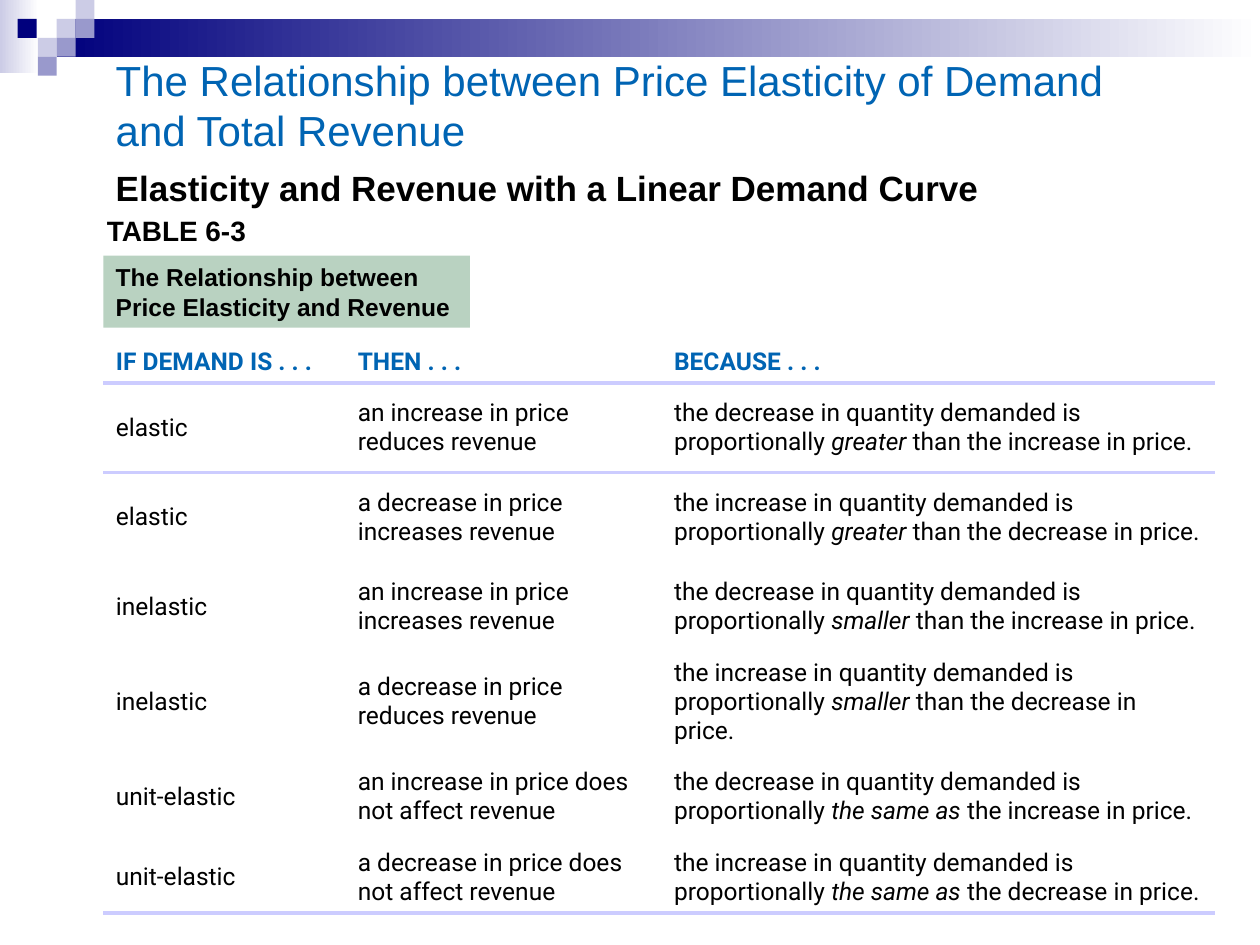
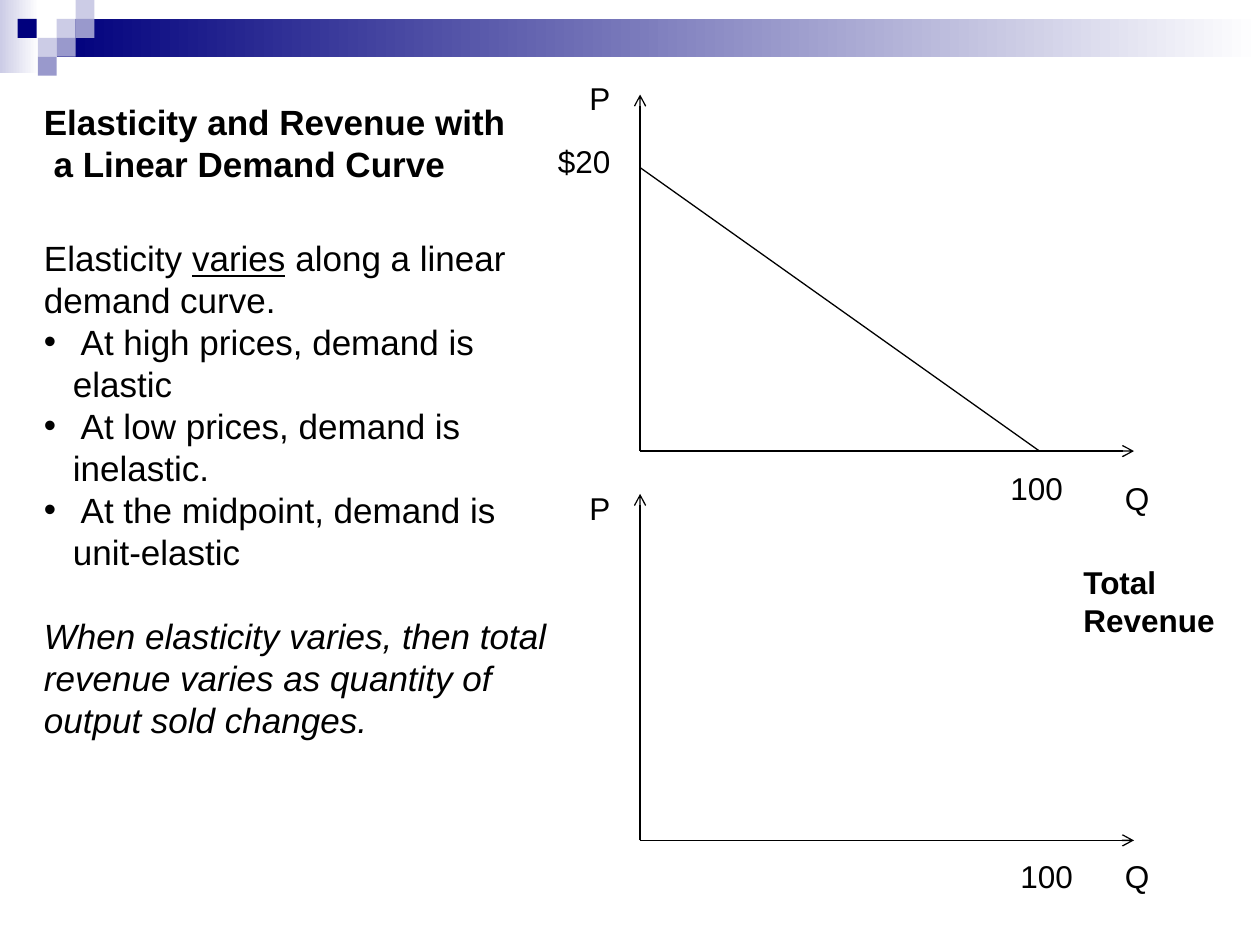
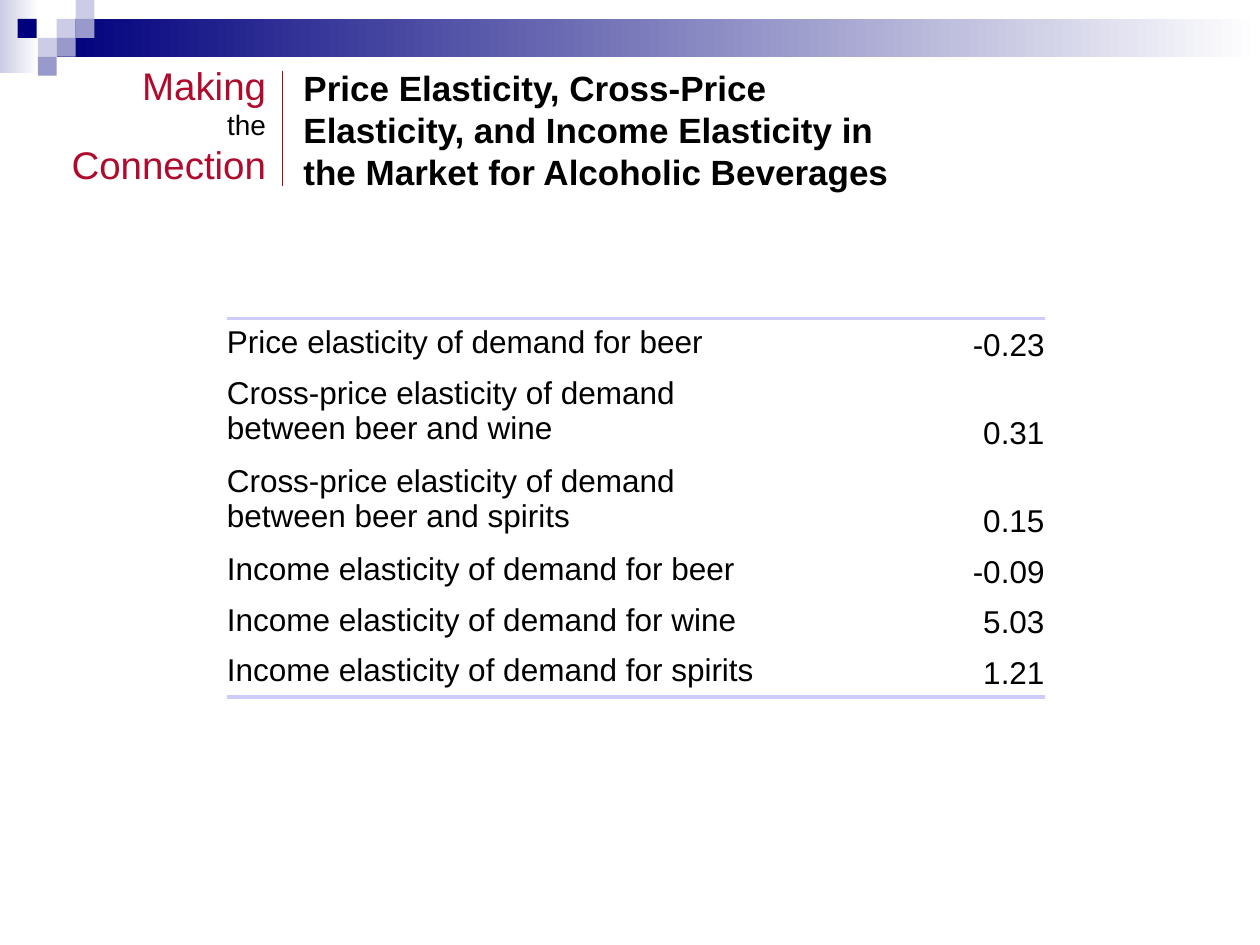
from pptx import Presentation
from pptx.dml.color import RGBColor
from pptx.enum.shapes import MSO_CONNECTOR, MSO_SHAPE
from pptx.enum.text import MSO_ANCHOR, PP_ALIGN
from pptx.oxml import parse_xml
from pptx.oxml.ns import nsdecls, qn
from pptx.util import Inches, Pt

RECTANGLE = MSO_SHAPE.RECTANGLE
STRAIGHT = MSO_CONNECTOR.STRAIGHT
TOP, MIDDLE, BOTTOM = MSO_ANCHOR.TOP, MSO_ANCHOR.MIDDLE, MSO_ANCHOR.BOTTOM
LEFT, RIGHT = PP_ALIGN.LEFT, PP_ALIGN.RIGHT

BLACK = RGBColor(0, 0, 0)
WHITE = RGBColor(0xFF, 0xFF, 0xFF)
NAVY = RGBColor(0x00, 0x00, 0x7D)
LAVENDER = RGBColor(0x99, 0x99, 0xCC)
PALE = RGBColor(0xCC, 0xCC, 0xE6)
RULE = RGBColor(0xCC, 0xCC, 0xFF)
BLUE = RGBColor(0x00, 0x64, 0xB3)
GREEN = RGBColor(0xB9, 0xD2, 0xC1)
CRIMSON = RGBColor(0xB0, 0x0B, 0x2D)
RED = RGBColor(0xAC, 0x0C, 0x11)
NO_TABLE_STYLE = "{2D5ABB26-0587-4C30-8999-92F81FD0307C}"

GRADIENT_BANDS = [
    ((0, 0, 0.31, 0.58), PALE),
    ((0.45, 0.15, 9.55, 0.3), NAVY),
]
TILE = 0.15
TILES = [
    (0.45, 0.15, PALE), (0.6, 0, PALE), (0.6, 0.15, LAVENDER), (0.3, 0.3, PALE),
    (0.14, 0.15, NAVY), (0.45, 0.3, LAVENDER), (0.3, 0.45, LAVENDER),
]

REVENUE_HEADINGS = ["IF DEMAND IS . . .", "THEN . . .", "BECAUSE . . ."]
REVENUE_ROWS = [
    ["elastic", "an increase in price reduces revenue",
     "the decrease in quantity demanded is proportionally *greater* than the increase in price."],
    ["elastic", "a decrease in price increases revenue",
     "the increase in quantity demanded is proportionally *greater* than the decrease in price."],
    ["inelastic", "an increase in price increases revenue",
     "the decrease in quantity demanded is proportionally *smaller* than the increase in price."],
    ["inelastic", "a decrease in price reduces revenue",
     "the increase in quantity demanded is proportionally *smaller *than the decrease in price."],
    ["unit-elastic", "an increase in price does not affect revenue",
     "the decrease in quantity demanded is proportionally *the same as* the increase in price."],
    ["unit-elastic", "a decrease in price does not affect revenue",
     "the increase in quantity demanded is proportionally *the same as* the decrease in price."],
]
REVENUE_COLUMNS = [1.92, 2.51, 4.39]
REVENUE_HEIGHTS = [0.42, 0.71, 0.71, 0.71, 0.7, 0.71, 0.2]

AXIS_X, AXIS_END = 5.08, 9
DIAGRAMS = [(0.75, 3.58), (3.92, 6.67)]
DEMAND_CURVE = ((AXIS_X, 1.33), (8.25, 3.58))
AXIS_LABELS = [
    ("P", 4.58, 0.58, 0.37), ("P", 4.58, 3.83, 0.37),
    ("Q", 8.83, 3.75, 0.37), ("Q", 8.83, 6.75, 0.37),
    ("$20", 4.33, 1.08, 0.67), ("100", 7.92, 3.67, 0.67), ("100", 8, 6.75, 0.67),
]
VARIES = "Elasticity *varies* along a linear demand curve."
PRICE_POINTS = [
    " At high prices, demand is elastic",
    " At low prices, demand is inelastic.",
    " At the midpoint, demand is unit-elastic",
]
CONCLUSION = "*When elasticity varies, then total revenue varies as quantity of output sold changes.*"

CONNECTION = [("Making", 22, CRIMSON), ("the", 16, BLACK), ("Connection", 22, CRIMSON)]
BEVERAGE_ROWS = [
    ("Price elasticity of demand for beer", "-0.23"),
    ("Cross-price elasticity of demand between beer and wine", "0.31"),
    ("Cross-price elasticity of demand between beer and spirits", "0.15"),
    ("Income elasticity of demand for beer", "-0.09"),
    ("Income elasticity of demand for wine", "5.03"),
    ("Income elasticity of demand for spirits", "1.21"),
]
BEVERAGE_COLUMNS = [4.19, 2.3]
BEVERAGE_HEIGHTS = [0.38, 0.67, 0.67, 0.38, 0.38, 0.38]


def inches(*lengths):
    return [Inches(length) for length in lengths]


def write(paragraph, text, size, color=BLACK, bold=False, font="Arial",
          emphasis="italic", align=LEFT, before=0):
    paragraph.alignment = align
    paragraph.space_before = Pt(before)
    for number, part in enumerate(text.split("*")):
        if not part:
            continue
        if "\v" in part:
            paragraph.text = part
        else:
            paragraph.add_run().text = part
        if number % 2:
            setattr(paragraph.runs[-1].font, emphasis, True)
    for run in paragraph.runs:
        run.font.name = font
        run.font.size = Pt(size)
        run.font.bold = bold
        run.font.color.rgb = color


def add_text(slide, box, text, size, anchor=TOP, **style):
    frame = slide.shapes.add_textbox(*inches(*box)).text_frame
    frame.word_wrap = True
    frame.vertical_anchor = anchor
    write(frame.paragraphs[0], text, size, **style)
    return frame


def add_rectangle(slide, box, color):
    rectangle = slide.shapes.add_shape(RECTANGLE, *inches(*box))
    rectangle.shadow.inherit = False
    rectangle.line.fill.background()
    rectangle.fill.solid()
    rectangle.fill.fore_color.rgb = color
    return rectangle


def add_line(slide, start, end, color=BLACK, arrow=False):
    line = slide.shapes.add_connector(STRAIGHT, *inches(*start, *end))
    line.line.color.rgb = color
    line.line.width = Pt(0.75)
    if arrow:
        line.line._get_or_add_ln().append(
            parse_xml(f'<a:tailEnd {nsdecls("a")} type="arrow"/>'))
    line._element.spPr.append(parse_xml(f'<a:effectLst {nsdecls("a")}/>'))


def add_grid(slide, left, top, columns, heights):
    box = inches(left, top, sum(columns), sum(heights))
    table = slide.shapes.add_table(len(heights), len(columns), *box).table
    table.first_row = table.horz_banding = False
    table._tbl.tblPr.find(qn("a:tableStyleId")).text = NO_TABLE_STYLE
    for column, width in zip(table.columns, columns):
        column.width = Inches(width)
    for row, height in zip(table.rows, heights):
        row.height = Inches(height)
    for cell in table.iter_cells():
        cell.fill.background()
    return table


def rule_row(table, row, side):
    for cell in table.rows[row].cells:
        cell._tc.get_or_add_tcPr().insert(0, parse_xml(
            f'<a:ln{side} {nsdecls("a")} w="{Pt(2.25)}"><a:solidFill>'
            f'<a:srgbClr val="{RULE}"/></a:solidFill></a:ln{side}>'))


def new_slide(deck):
    slide = deck.slides.add_slide(deck.slide_layouts[6])
    for box, color in GRADIENT_BANDS:
        fill = add_rectangle(slide, box, color).fill
        fill.gradient()
        fill.gradient_angle = 0
        for stop, position, shade in zip(fill.gradient_stops, (0, 1), (color, WHITE)):
            stop.position = position
            stop.color.rgb = shade
    for left, top, color in TILES:
        add_rectangle(slide, (left, top, TILE, TILE), color)
    return slide


def build_revenue_table(deck):
    slide = new_slide(deck)
    add_text(slide, (0.82, 0.33, 8.43, 1),
             "The Relationship between Price Elasticity of Demand and Total Revenue",
             24, anchor=MIDDLE, color=BLUE)
    add_text(slide, (0.82, 1.27, 9.02, 0.43),
             "Elasticity and Revenue with a Linear Demand Curve", 20, bold=True)
    number = add_text(slide, (0.75, 1.68, 1.86, 0.34), "TABLE 6-3", 16, bold=True, before=1)
    number.paragraphs[0].line_spacing = 0.9
    caption = add_rectangle(slide, (0.82, 2.03, 2.91, 0.57), GREEN).text_frame
    caption.word_wrap = True
    write(caption.paragraphs[0], "The Relationship between Price Elasticity and Revenue",
          14, bold=True)

    table = add_grid(slide, 0.82, 2.62, REVENUE_COLUMNS, REVENUE_HEIGHTS)
    for r, texts in enumerate([REVENUE_HEADINGS] + REVENUE_ROWS):
        heading = r == 0
        for c, text in enumerate(texts):
            cell = table.cell(r, c)
            cell.vertical_anchor = BOTTOM if heading else MIDDLE
            write(cell.text_frame.paragraphs[0], text, 14, font="Roboto",
                  color=BLUE if heading else BLACK, bold=heading)
    rule_row(table, 0, "B")
    rule_row(table, 1, "T")
    rule_row(table, len(REVENUE_ROWS), "B")


def build_demand_curve(deck):
    slide = new_slide(deck)
    for top, base in DIAGRAMS:
        origin = (AXIS_X, base)
        add_line(slide, origin, (AXIS_X, top), arrow=True)
        add_line(slide, origin, (AXIS_END, base), arrow=True)
    add_line(slide, *DEMAND_CURVE)
    for label, left, top, width in AXIS_LABELS:
        add_text(slide, (left, top, width, 0.4), label, 18)
    add_text(slide, (8.5, 4.42, 1.25, 0.71), "Total Revenue", 18, bold=True)
    add_text(slide, (0.25, 0.75, 4.06, 0.77),
             "Elasticity and Revenue with\v a Linear Demand Curve", 20, bold=True)

    body = add_text(slide, (0.25, 1.83, 4.25, 4.14), VARIES, 20, emphasis="underline")
    for point in PRICE_POINTS:
        paragraph = body.add_paragraph()
        write(paragraph, point, 20)
        properties = paragraph._p.get_or_add_pPr()
        properties.set("marL", str(Inches(0.23)))
        properties.set("indent", str(-Inches(0.23)))
        properties.append(parse_xml(f'<a:buFont {nsdecls("a")} typeface="Arial"/>'))
        properties.append(parse_xml(f'<a:buChar {nsdecls("a")} char="•"/>'))
    write(body.add_paragraph(), CONCLUSION, 20, before=24)


def build_beverages(deck):
    slide = new_slide(deck)
    add_text(slide, (2.31, 0.48, 5.06, 1.55),
             "Price Elasticity, Cross-Price Elasticity, and Income Elasticity in "
             "the Market for Alcoholic Beverages", 20, bold=True, before=2)
    add_line(slide, (2.24, 0.56), (2.24, 1.48), color=RED)
    (word, size, color), *others = CONNECTION
    connection = add_text(slide, (0.31, 0.44, 1.9, 1.06), word, size,
                          color=color, align=RIGHT, before=2)
    for word, size, color in others:
        write(connection.add_paragraph(), word, size, color=color, align=RIGHT)

    table = add_grid(slide, 1.8, 2.53, BEVERAGE_COLUMNS, BEVERAGE_HEIGHTS)
    for r, texts in enumerate(BEVERAGE_ROWS):
        for c, (text, align) in enumerate(zip(texts, (LEFT, RIGHT))):
            cell = table.cell(r, c)
            cell.margin_left = cell.margin_right = 0
            cell.vertical_anchor = BOTTOM if align == RIGHT else TOP
            write(cell.text_frame.paragraphs[0], text, 18, align=align)
    rule_row(table, 0, "T")
    rule_row(table, len(BEVERAGE_ROWS) - 1, "B")


def main():
    deck = Presentation()
    deck.slide_width, deck.slide_height = inches(10, 7.5)
    build_revenue_table(deck)
    build_demand_curve(deck)
    build_beverages(deck)
    deck.save("out.pptx")


if __name__ == "__main__":
    main()
